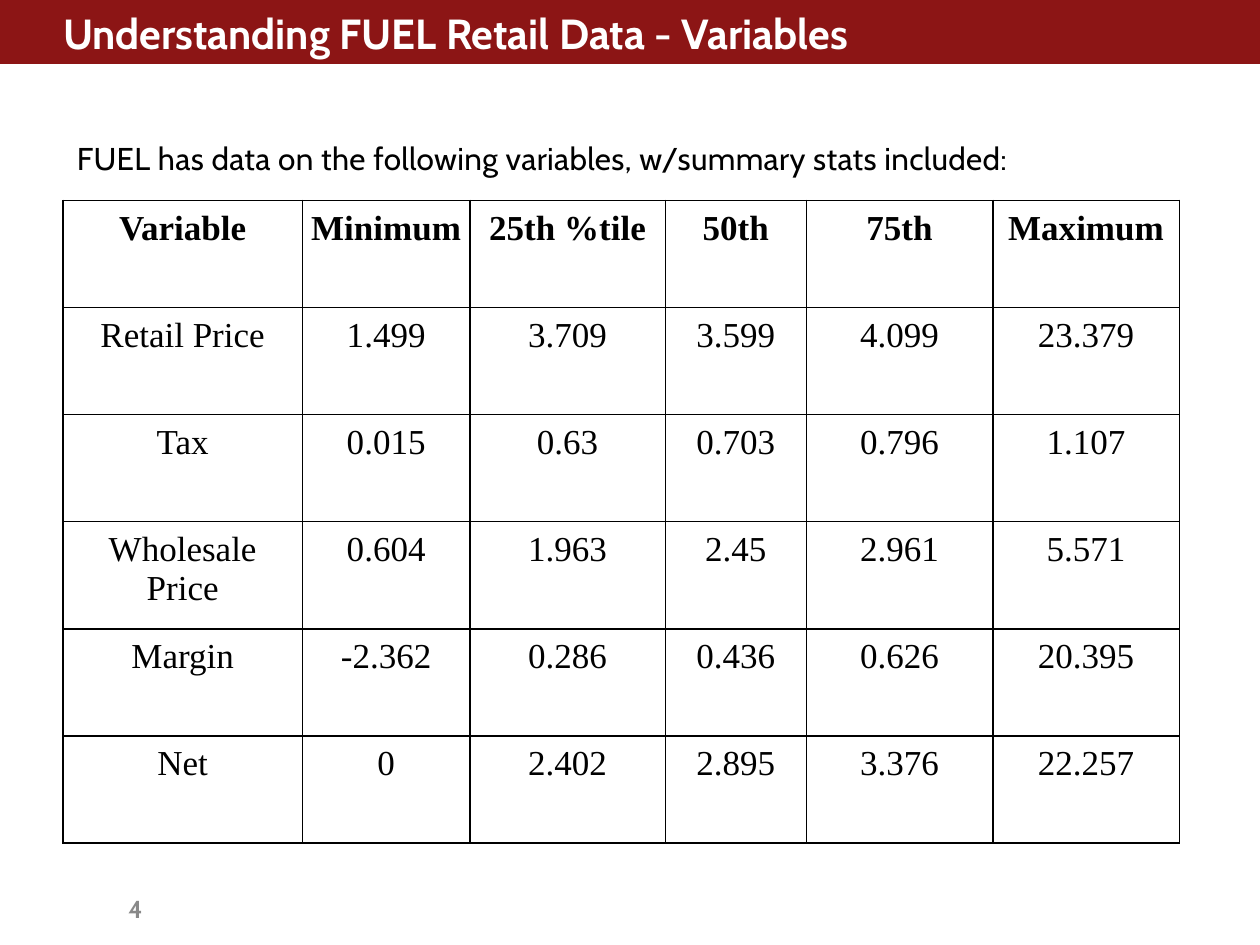
import pptx
import pptx.dml.color
import pptx.enum.shapes
import pptx.enum.text
import pptx.oxml
import pptx.oxml.ns
import pptx.util

Inches = pptx.util.Inches
Pt = pptx.util.Pt
ALIGN = pptx.enum.text.PP_ALIGN
ANCHOR = pptx.enum.text.MSO_ANCHOR

COLOURS = {"cardinal": "8C1515", "white": "FFFFFF", "black": "000000", "grey": "898989"}
HEADING = {"name": "Cabin", "size": Pt(24), "bold": True}
INTRO = {"name": "Cabin", "size": Pt(18), "bold": False}
NUMBER = {"name": "Cabin", "size": Pt(14), "bold": True}
CELL = {"name": "Times New Roman", "size": Pt(20), "bold": False}

COLUMN_WIDTHS = [1.9, 1.33, 1.55, 1.12, 1.48, 1.48]
ROW_HEIGHT = 0.85
STATS = [
    ["Variable", "Minimum", "25th %tile", "50th", "75th", "Maximum"],
    ["Retail Price", "1.499", "3.709", "3.599", "4.099", "23.379"],
    ["Tax", "0.015", "0.63", "0.703", "0.796", "1.107"],
    ["Wholesale Price", "0.604", "1.963", "2.45", "2.961", "5.571"],
    ["Margin", "-2.362", "0.286", "0.436", "0.626", "20.395"],
    ["Net", "0", "2.402", "2.895", "3.376", "22.257"],
]


def apply(target, values):
    for name, value in values.items():
        setattr(target, name, value)


def colour(name):
    return pptx.dml.color.RGBColor.from_string(COLOURS[name])


class SlideBuilder:
    def __init__(self, page):
        self.page = page

    def fill_text(self, frame, text, font, ink, frame_format, para_format):
        apply(frame, frame_format)
        para = frame.paragraphs[0]
        apply(para, para_format)
        span = para.add_run()
        span.text = text
        apply(span.font, font)
        span.font.color.rgb = colour(ink)
        return span

    def place(self, shape, left, top, width, height):
        apply(shape, {"left": Inches(left), "top": Inches(top),
                      "width": Inches(width), "height": Inches(height)})

    def band(self, left, top, width, height, fill):
        bar = self.page.shapes.add_shape(
            pptx.enum.shapes.MSO_SHAPE.RECTANGLE,
            Inches(left), Inches(top), Inches(width), Inches(height))
        bar.shadow.inherit = False
        bar.fill.solid()
        bar.fill.fore_color.rgb = colour(fill)
        bar.line.color.rgb = colour(fill)
        bar.line.width = Pt(0.75)
        # Send the band behind the title
        self.page.shapes.element.insert(2, bar.element)

    def title(self, text, *box):
        heading = self.page.shapes.title
        self.place(heading, *box)
        self.fill_text(heading.text_frame, text, HEADING, "white",
                       {"vertical_anchor": ANCHOR.BOTTOM, "margin_left": 0,
                        "margin_right": Inches(0.1), "margin_top": Inches(0.05),
                        "margin_bottom": Inches(0.05), "word_wrap": True,
                        "auto_size": pptx.enum.text.MSO_AUTO_SIZE.NONE},
                       {"alignment": ALIGN.LEFT, "line_spacing": 0.85})

    def text(self, text, font, ink, box, frame_format, para_format):
        area = self.page.shapes.add_textbox(*map(Inches, box))
        return self.fill_text(area.text_frame, text, font, ink,
                              {"word_wrap": True, **frame_format}, para_format)

    def borders(self, cell):
        properties = cell._tc.get_or_add_tcPr()
        for index, side in enumerate(("lnL", "lnR", "lnT", "lnB")):
            properties.insert(index, pptx.oxml.parse_xml(
                f'<a:{side} {pptx.oxml.ns.nsdecls("a")} w="{Pt(1)}"><a:solidFill>'
                f'<a:srgbClr val="{COLOURS["black"]}"/></a:solidFill></a:{side}>'))

    def table(self, rows, left, top):
        grid = self.page.shapes.add_table(
            len(rows), len(COLUMN_WIDTHS), Inches(left), Inches(top),
            Inches(sum(COLUMN_WIDTHS)), Inches(ROW_HEIGHT * len(rows))).table
        apply(grid, {"first_row": False, "horz_banding": False})
        for column, width in zip(grid.columns, COLUMN_WIDTHS):
            column.width = Inches(width)
        margins = {f"margin_{side}": Inches(0.07)
                   for side in ("left", "right", "top", "bottom")}
        for row_index, values in enumerate(rows):
            grid.rows[row_index].height = Inches(ROW_HEIGHT)
            for column_index, value in enumerate(values):
                cell = grid.cell(row_index, column_index)
                apply(cell, {"vertical_anchor": ANCHOR.TOP, **margins})
                cell.fill.background()
                self.borders(cell)
                self.fill_text(cell.text_frame, value, {**CELL, "bold": row_index == 0},
                               "black", {}, {"alignment": ALIGN.CENTER})


def main():
    deck = pptx.Presentation()
    apply(deck, {"slide_width": Inches(10), "slide_height": Inches(7.5)})
    builder = SlideBuilder(deck.slides.add_slide(deck.slide_layouts[5]))

    # Title on its band
    builder.band(-0.01, 0, 10.01, 0.5, "cardinal")
    builder.title("Understanding FUEL Retail Data - Variables", 0.5, -0.08, 8.85, 0.59)

    # Introductory line
    intro = builder.text(
        "FUEL has data on the following variables, w/summary stats included:",
        INTRO, "black", (0.61, 0.9, 8, 5.41),
        {"margin_left": 0, "margin_right": 0},
        {"line_spacing": 1.5, "space_before": Pt(3.6)})
    intro.font._element.set("spc", "20")

    # Summary statistics
    builder.table(STATS, 0.5, 1.59)

    # Page number
    builder.text("4", NUMBER, "grey", (0.92, 7.01, 0.93, 0.4),
                 {"vertical_anchor": ANCHOR.MIDDLE}, {})

    deck.save("out.pptx")


if __name__ == "__main__":
    main()
